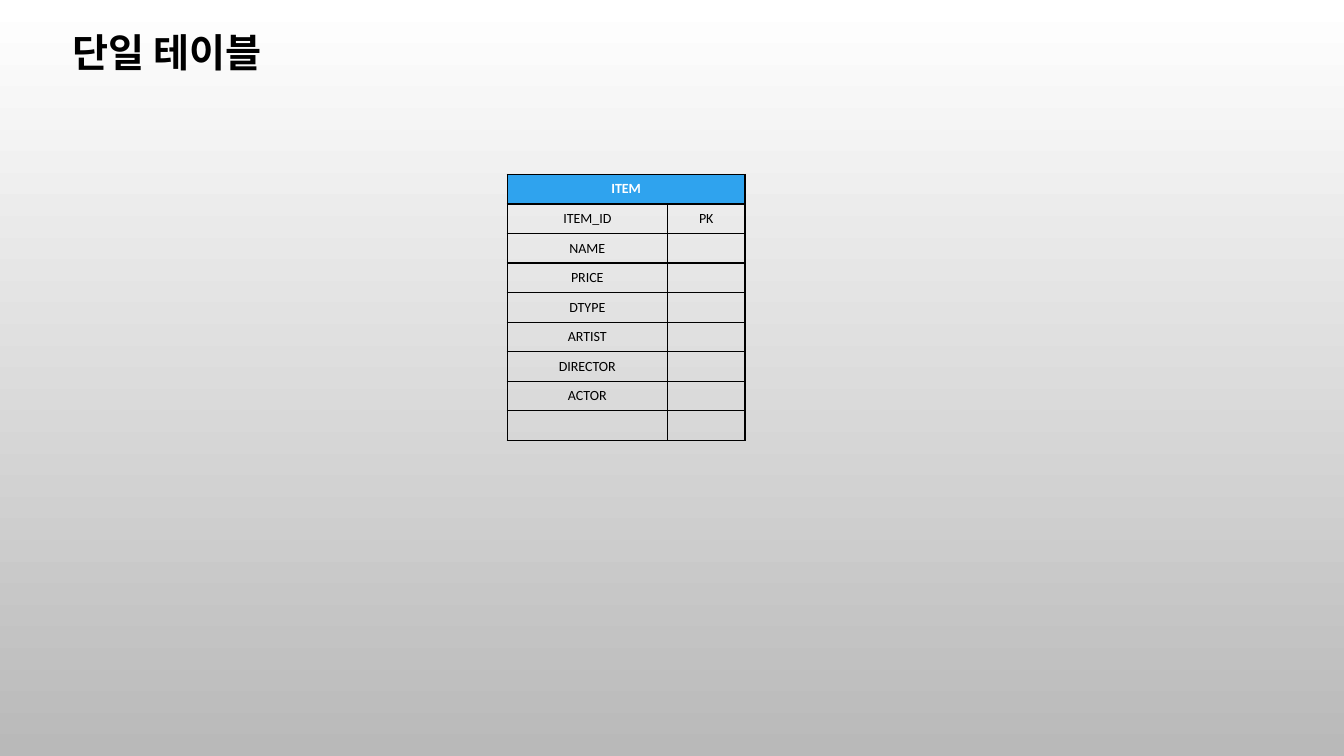
from lxml.etree import SubElement
from pptx import Presentation
from pptx.dml.color import RGBColor
from pptx.enum.text import MSO_ANCHOR, MSO_AUTO_SIZE, PP_ALIGN
from pptx.oxml import parse_xml
from pptx.oxml.ns import nsdecls, qn
from pptx.util import Inches, Pt

COLORS = {
    "ink": "000000",
    "white": "FFFFFF",
    "header": "2FA3EE",
    "page_top": "FFFFFF",
    "page_bottom": "B9B9B9",
}
FORMATS = {
    "title": {"size": Pt(28), "bold": True, "name": "Calibri"},
    "header": {"size": Pt(10), "bold": True, "name": "Calibri"},
    "column": {"size": Pt(10), "bold": False, "name": "Calibri"},
}
ITEM_COLUMNS = [
    ("ITEM_ID", "PK"),
    ("NAME", ""),
    ("PRICE", ""),
    ("DTYPE", ""),
    ("ARTIST", ""),
    ("DIRECTOR", ""),
    ("ACTOR", ""),
    ("", ""),
]


def rgb(color):
    return RGBColor.from_string(COLORS[color])


class SlideBuilder:
    def __init__(self, deck):
        self.page = deck.slides.add_slide(deck.slide_layouts[5])

    def background(self, *colors):
        fill = self.page.background.fill
        fill.gradient()
        fill.gradient_angle = 270
        for stop, color in zip(fill.gradient_stops, colors):
            stop.color.rgb = rgb(color)

    def add_span(self, para, text, style, color):
        span = para.add_run()
        span.text = text
        for name, value in FORMATS[style].items():
            setattr(span.font, name, value)
        span.font.color.rgb = rgb(color)

    def title(self, text, left, top, width, height):
        box = self.page.shapes.title
        place = {"left": left, "top": top, "width": width, "height": height}
        for name, value in place.items():
            setattr(box, name, Inches(value))
        frame = box.text_frame
        frame.vertical_anchor = MSO_ANCHOR.TOP
        frame.auto_size = MSO_AUTO_SIZE.SHAPE_TO_FIT_TEXT
        para = frame.paragraphs[0]
        para.alignment = PP_ALIGN.LEFT
        self.add_span(para, text, "title", "ink")

    def borders(self, cell):
        properties = cell._tc.get_or_add_tcPr()
        for index, side in enumerate(("lnL", "lnR", "lnT", "lnB")):
            line = parse_xml(
                f'<a:{side} {nsdecls("a")} w="{Pt(1)}"><a:solidFill>'
                f'<a:srgbClr val="{COLORS["ink"]}"/></a:solidFill></a:{side}>'
            )
            properties.insert(index, line)

    def cell(self, cell, text, style, color, fill=None):
        if fill:
            cell.fill.solid()
            cell.fill.fore_color.rgb = rgb(fill)
        else:
            cell.fill.background()
        self.borders(cell)
        cell.vertical_anchor = MSO_ANCHOR.MIDDLE
        para = cell.text_frame.paragraphs[0]
        para.alignment = PP_ALIGN.CENTER
        if text:
            self.add_span(para, text, style, color)
        else:
            size = FORMATS[style]["size"].centipoints
            SubElement(para._p, qn("a:endParaRPr"), sz=str(size))

    def entity(self, name, rows, left, top, widths, height):
        count = len(rows) + 1
        frame = self.page.shapes.add_table(
            count, len(widths), Inches(left), Inches(top),
            Inches(sum(widths)), Inches(height),
        )
        table = frame.table
        table.horz_banding = False
        for column, width in zip(table.columns, widths):
            column.width = Inches(width)
        for row in table.rows:
            row.height = Inches(height / count)
        table.cell(0, 0).merge(table.cell(0, len(widths) - 1))
        for index, text in enumerate((name, "")):
            self.cell(table.cell(0, index), text, "header", "white", "header")
        for row_index, row in enumerate(rows, 1):
            for index, text in enumerate(row):
                self.cell(table.cell(row_index, index), text, "column", "ink")


def main():
    deck = Presentation()
    deck.slide_width = Inches(13.33)
    deck.slide_height = Inches(7.5)
    builder = SlideBuilder(deck)
    builder.background("page_top", "page_bottom")
    builder.title("단일 테이블", 0.62, 0.23, 7.93, 0.57)
    builder.entity("ITEM", ITEM_COLUMNS, 5.03, 1.73, (1.59, 0.77), 2.64)
    deck.save("out.pptx")


if __name__ == "__main__":
    main()
